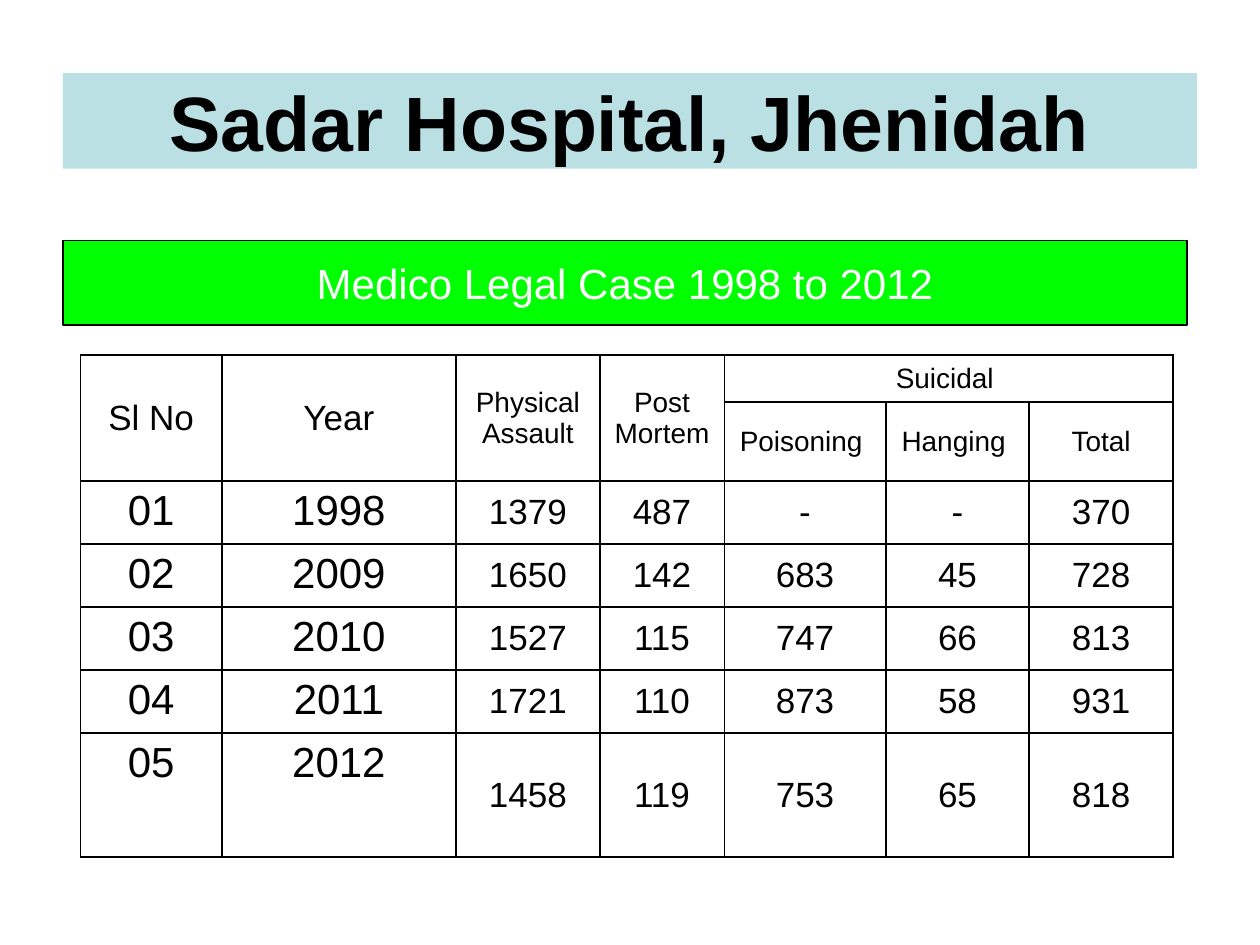
from lxml import etree
from pptx import Presentation
from pptx.dml.color import RGBColor
from pptx.enum import shapes, text
from pptx.oxml.ns import qn
from pptx.util import Inches, Pt

TITLE = "Sadar Hospital, Jhenidah"
SUBTITLE = "Medico Legal Case 1998 to 2012"
HEADERS = [
    # row, column, row span, column span, label, size key
    (0, 0, 2, 1, "Sl No", "body"),
    (0, 1, 2, 1, "Year", "body"),
    (0, 2, 2, 1, "Physical Assault", "small"),
    (0, 3, 2, 1, "Post Mortem", "small"),
    (0, 4, 1, 3, "Suicidal ", "small"),
    (1, 4, 1, 1, "Poisoning ", "small"),
    (1, 5, 1, 1, "Hanging ", "small"),
    (1, 6, 1, 1, "Total", "small"),
]
CASES = [
    ("01", "1998", "1379", "487", "-", "-", "370"),
    ("02", "2009", "1650", "142", "683", "45", "728"),
    ("03", "2010", "1527", "115", "747", "66", "813"),
    ("04", "2011", "1721", "110", "873", "58", "931"),
    ("05", "2012", "1458", "119", "753", "65", "818"),
]
COLS = [1.12, 1.86, 1.14, 0.99, 1.28, 1.14, 1.14]
ROWS = [0.37, 0.63, 0.5, 0.5, 0.5, 0.5, 0.98]
THEME = {
    "font": "Arial", "ink": "000000", "paper": "FFFFFF",
    "title_fill": "BBE0E3", "subtitle_fill": "00FF00",
    "title": 44, "large": 24, "body": 20, "small": 16,
    "border": 1.08, "outline": 0.75,
}


def rgb(key):
    return RGBColor.from_string(THEME[key])


def write(tf, label, size, color="ink", bold=False):
    p = tf.paragraphs[0]
    p.text = label
    p.alignment = text.PP_ALIGN.CENTER
    p.font.name = THEME["font"]
    p.font.size = Pt(THEME[size])
    p.font.bold = bold
    p.font.color.rgb = rgb(color)


def banner(s, box, fill, label, size, color="ink", bold=False, outlined=False):
    sp = s.shapes.add_shape(shapes.MSO_SHAPE.RECTANGLE, *map(Inches, box))
    sp.shadow.inherit = False
    sp.fill.solid()
    sp.fill.fore_color.rgb = rgb(fill)
    if outlined:
        sp.line.color.rgb = rgb("ink")
        sp.line.width = Pt(THEME["outline"])
    else:
        sp.line.fill.background()
    tf = sp.text_frame
    tf.word_wrap = True
    tf.vertical_anchor = text.MSO_ANCHOR.MIDDLE
    write(tf, label, size, color, bold)


def style_cell(cell):
    tc_pr = cell._tc.get_or_add_tcPr()
    for side in ("a:lnL", "a:lnR", "a:lnT", "a:lnB"):
        ln = etree.SubElement(tc_pr, qn(side), w=str(Pt(THEME["border"])))
        fill = etree.SubElement(ln, qn("a:solidFill"))
        etree.SubElement(fill, qn("a:srgbClr"), val=THEME["ink"])
    cell.fill.background()
    cell.vertical_anchor = text.MSO_ANCHOR.MIDDLE


def case_table(s, left, top):
    frame = s.shapes.add_table(len(ROWS), len(COLS), Inches(left), Inches(top),
                               Inches(sum(COLS)), Inches(sum(ROWS)))
    table = frame.table
    table.first_row = table.horz_banding = False
    for col, width in zip(table.columns, COLS):
        col.width = Inches(width)
    for row, height in zip(table.rows, ROWS):
        row.height = Inches(height)
    for cell in table.iter_cells():
        style_cell(cell)
    for r, c, down, across, label, size in HEADERS:
        cell = table.cell(r, c)
        if down * across > 1:
            cell.merge(table.cell(r + down - 1, c + across - 1))
        write(cell.text_frame, label, size)
    for r, case in enumerate(CASES, 2):
        for c, value in enumerate(case):
            cell = table.cell(r, c)
            write(cell.text_frame, value, "large" if c < 2 else "body")
            if c < 2:
                cell.vertical_anchor = text.MSO_ANCHOR.TOP


def main():
    prs = Presentation()
    prs.slide_width, prs.slide_height = Inches(10), Inches(7.5)
    s = prs.slides.add_slide(prs.slide_layouts[6])
    banner(s, (0.5, 0.58, 9, 0.76), "title_fill", TITLE, "title", bold=True)
    case_table(s, 0.64, 2.82)
    banner(s, (0.5, 1.91, 8.92, 0.67), "subtitle_fill", SUBTITLE, "large",
           color="paper", outlined=True)
    prs.save("out.pptx")


if __name__ == "__main__":
    main()
